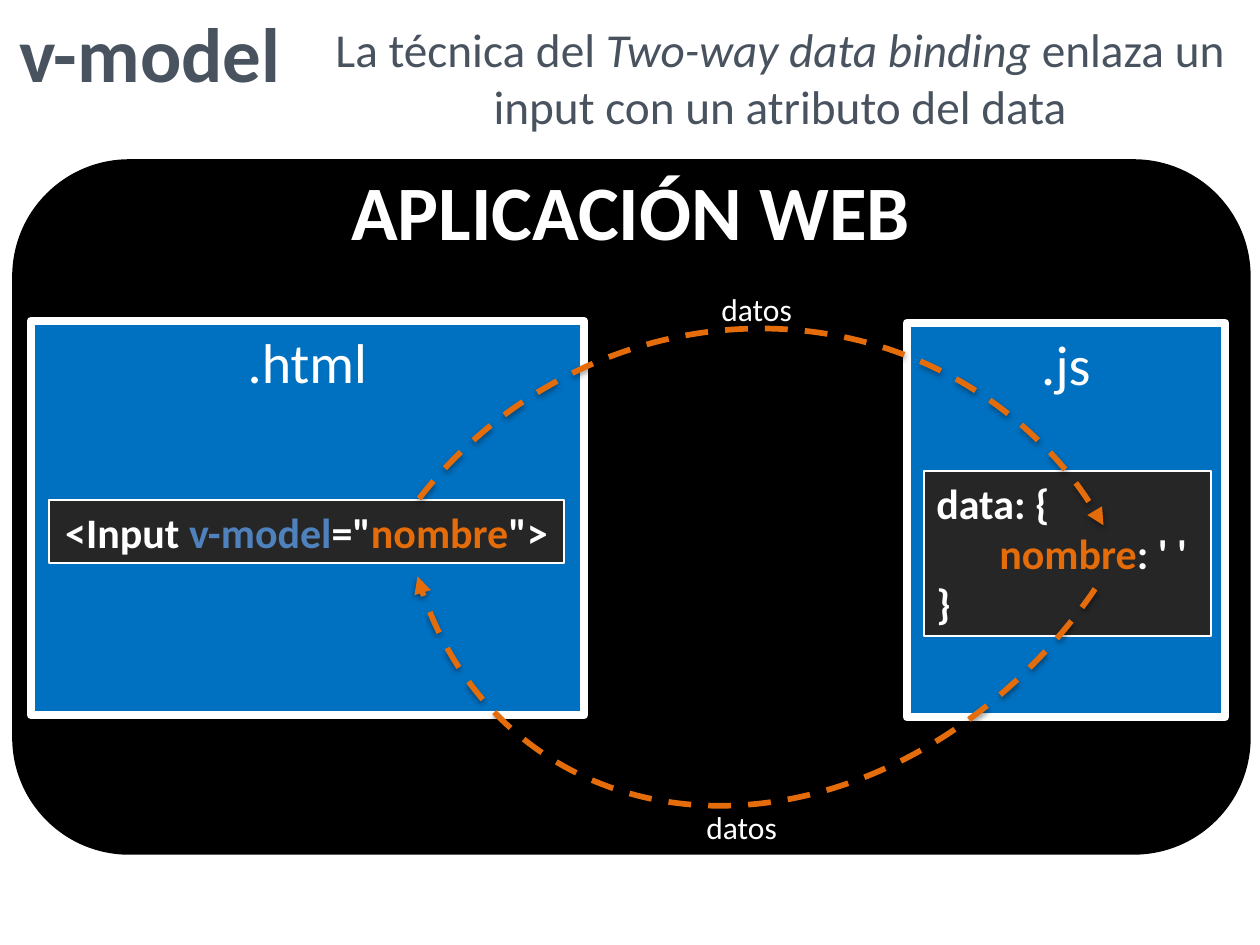
from dataclasses import dataclass
from typing import NamedTuple

from lxml.etree import SubElement
from pptx import Presentation
from pptx.dml.color import RGBColor
from pptx.enum.dml import MSO_LINE_DASH_STYLE as Dash
from pptx.enum.shapes import MSO_SHAPE as Shape
from pptx.enum.text import MSO_ANCHOR as Anchor, PP_ALIGN as Align
from pptx.oxml.ns import qn
from pptx.util import Pt

EMU_PER_PX = 914400 / 126
ARC_UNIT = 0.6


@dataclass(frozen=True)
class Theme:
    font: str = "Calibri"
    white: str = "FFFFFF"
    black: str = "000000"
    slate: str = "49535F"
    panel: str = "0070C0"
    code: str = "262626"
    orange: str = "E46C0A"
    blue: str = "4F81BD"
    title: int = 44
    heading: int = 32
    subtitle: int = 27
    body: int = 24
    label: int = 18


T = Theme()


class Run(NamedTuple):
    text: str
    color: str = T.white
    bold: bool = False
    italic: bool = False


class Para(NamedTuple):
    runs: list[Run]
    indent: int = 0


class Box(NamedTuple):
    x: int
    y: int
    w: int
    h: int


class Text(NamedTuple):
    box: Box
    paras: list[Para]
    size: int
    wrap: bool = True


class Panel(NamedTuple):
    text: Text
    fill: str
    line_width: float
    align: Align = Align.CENTER


class Arc(NamedTuple):
    box: Box
    rotation: int
    start: float
    end: float


def px(n: int) -> int:
    return round(n * EMU_PER_PX)


def rgb(color: str) -> RGBColor:
    return RGBColor.from_string(color)


def place(box: Box) -> list[int]:
    return [px(n) for n in box]


def write(tf, text: Text, align: Align) -> None:
    tf.word_wrap = text.wrap
    tf.vertical_anchor = Anchor.TOP
    for i, para in enumerate(text.paras):
        p = tf.add_paragraph() if i else tf.paragraphs[0]
        p.alignment = align
        if para.indent:
            p._p.get_or_add_pPr().set("marL", str(px(para.indent)))
        for run in para.runs:
            r = p.add_run()
            r.text = run.text
            r.font.name, r.font.size = T.font, Pt(text.size)
            r.font.bold, r.font.italic = run.bold, run.italic
            r.font.color.rgb = rgb(run.color)


def add_text(s, text: Text, align: Align = Align.CENTER) -> None:
    write(s.shapes.add_textbox(*place(text.box)).text_frame, text, align)


def add_box(s, kind: Shape, box: Box, fill: str, line: str, width: float):
    sp = s.shapes.add_shape(kind, *place(box))
    sp.shadow.inherit = False
    sp.fill.solid()
    sp.fill.fore_color.rgb = rgb(fill)
    sp.line.color.rgb = rgb(line)
    sp.line.width = Pt(width)
    return sp


def add_panel(s, panel: Panel) -> None:
    sp = add_box(s, Shape.RECTANGLE, panel.text.box, panel.fill, T.white, panel.line_width)
    write(sp.text_frame, panel.text, panel.align)


def add_arc(s, arc: Arc) -> None:
    sp = s.shapes.add_shape(Shape.ARC, *place(arc.box))
    sp.rotation = arc.rotation
    sp.adjustments[0] = arc.start * ARC_UNIT
    sp.adjustments[1] = arc.end * ARC_UNIT
    sp.fill.background()
    sp.line.color.rgb = rgb(T.orange)
    sp.line.width = Pt(3.25)
    sp.line.dash_style = Dash.DASH
    SubElement(sp.line._get_or_add_ln(), qn("a:tailEnd"), type="triangle")
    sp.shadow.inherit = False
    effects = sp._element.spPr.find(qn("a:effectLst"))
    shadow = SubElement(effects, qn("a:outerShdw"), blurRad="40000", dist="20000",
                        dir="5400000", rotWithShape="0")
    color = SubElement(shadow, qn("a:srgbClr"), val=T.black)
    SubElement(color, qn("a:alpha"), val="38000")


HEADERS = [
    Text(Box(0, -1, 300, 106), [Para([Run("v-model", T.slate, bold=True)])], T.title),
    Text(Box(300, 14, 960, 127), [Para([
        Run("La técnica del ", T.slate),
        Run("Two-way data binding", T.slate, italic=True),
        Run(" enlaza un input con un atributo del data", T.slate),
    ])], T.subtitle),
    Text(Box(14, 157, 1234, 106), [Para([Run("APLICACIÓN WEB", bold=True)])], T.title),
]

PANELS = [
    Panel(Text(Box(907, 323, 318, 394), [Para([Run(".js")])], T.heading), T.panel, 5),
    Panel(Text(Box(924, 471, 287, 165), [
        Para([Run("data: {", bold=True)]),
        Para([Run("nombre", T.orange, True), Run(": ' '", bold=True)], indent=63),
        Para([Run("}", bold=True)]),
    ], T.body), T.code, 0.75, Align.LEFT),
    Panel(Text(Box(31, 321, 553, 394), [Para([Run(".html")])], T.heading), T.panel, 5),
    Panel(Text(Box(49, 500, 515, 63), [Para([
        Run("<Input ", bold=True),
        Run("v-model", T.blue, True),
        Run('="', bold=True),
        Run("nombre", T.orange, True),
        Run('">', bold=True),
    ])], T.body), T.code, 0.75),
]

ARCS = [
    Arc(Box(349, 23, 890, 726), 125, 268.97, 28.19),
    Arc(Box(317, 339, 849, 810), 313, 264.28, 15.86),
]

LABELS = [
    Text(Box(x, y, 97, 50), [Para([Run("datos")])], T.label, wrap=False)
    for x, y in [(709, 284), (694, 802)]
]


def main() -> None:
    prs = Presentation()
    prs.slide_width, prs.slide_height = px(1260), px(945)
    s = prs.slides.add_slide(prs.slide_layouts[6])
    add_box(s, Shape.ROUNDED_RECTANGLE, Box(14, 161, 1235, 692), T.black, T.black, 2)
    for header in HEADERS:
        add_text(s, header)
    for panel in PANELS:
        add_panel(s, panel)
    for arc in ARCS:
        add_arc(s, arc)
    for label in LABELS:
        add_text(s, label, Align.LEFT)
    prs.save("out.pptx")


if __name__ == "__main__":
    main()
